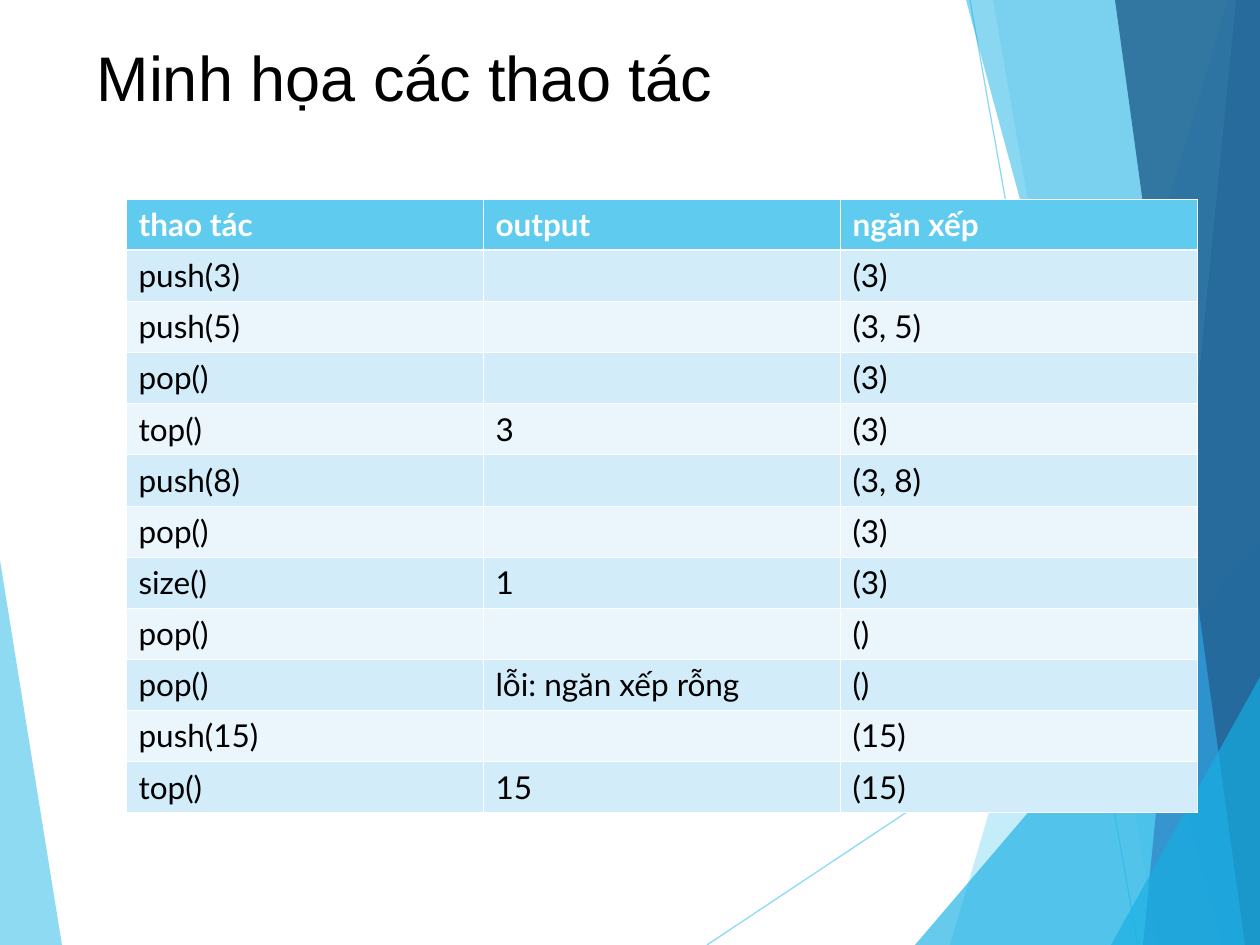
from dataclasses import dataclass

from lxml import etree
from pptx import Presentation, util as u
from pptx.dml.color import RGBColor
from pptx.enum import shapes, text
from pptx.oxml.ns import qn

TITLE = "Minh họa các thao tác"
HEADER = ("thao tác", "output", "ngăn xếp")
STEPS = [
    ("push(3)", "", "(3)"),
    ("push(5)", "", "(3, 5)"),
    ("pop()", "", "(3)"),
    ("top()", "3", "(3)"),
    ("push(8)", "", "(3, 8)"),
    ("pop()", "", "(3)"),
    ("size()", "1", "(3)"),
    ("pop()", "", "()"),
    ("pop()", "lỗi: ngăn xếp rỗng", "()"),
    ("push(15)", "", "(15)"),
    ("top()", "15", "(15)"),
]


@dataclass(frozen=True)
class Theme:
    sky: str = "5FCBEF"
    cyan: str = "17B0E4"
    blue: str = "2E83C3"
    navy: str = "236292"
    odd: str = "D2ECF9"
    even: str = "EAF6FC"
    ink: str = "000000"
    white: str = "FFFFFF"
    title_font: str = "Arial"
    table_font: str = "Lato"
    title_size: int = 36
    table_size: int = 18
    ray_width: float = 0.75
    border: float = 0.45
    header_border: float = 1.47


T = Theme()
W, H = 1260, 945
SCALE = u.Inches(10) / W
TITLE_BOX = (84, 32, 875, 181)
TABLE_BOX = (126, 199, 1071, 614)


def band(top_x, bottom_x):
    return [(top_x, 0), (bottom_x, H), (W, H), (W, 0)]


def wedge(bottom_x, right_y):
    return [(bottom_x, H), (W, right_y), (W, H)]


RAYS = [((707, H), (W, 577)), ((970, 0), (1138, H))]
LEFT_FACET = ([(0, 560), (62, H), (0, H)], T.sky, 70)
RIGHT_FACETS = [
    (band(1228, 950), T.sky, 36),
    (band(993, 1158), T.sky, 20),
    (wedge(915, 541), T.cyan, 66),
    (band(966, 1222), T.cyan, 50),
    (band(1236, 1143), T.blue, 70),
    (band(1115, 1245), T.navy, 82),
    (wedge(1111, 677), T.cyan, 66),
]


def px(n):
    return u.Emu(round(n * SCALE))


def rgb(color):
    return RGBColor.from_string(color)


def set_alpha(fill, percent):
    color = next(fill._xPr.iter(qn("a:srgbClr")))
    etree.SubElement(color, qn("a:alpha")).set("val", str(percent * 1000))


def add_facet(s, points, color, alpha):
    builder = s.shapes.build_freeform(*points[0], scale=SCALE)
    builder.add_line_segments(points[1:], close=True)
    sp = builder.convert_to_shape()
    sp.shadow.inherit = False
    sp.fill.solid()
    sp.fill.fore_color.rgb = rgb(color)
    set_alpha(sp.fill, alpha)
    sp.line.fill.background()


def add_ray(s, start, end):
    ends = [px(n) for n in (*start, *end)]
    ray = s.shapes.add_connector(shapes.MSO_CONNECTOR.STRAIGHT, *ends)
    ray.line.width = u.Pt(T.ray_width)
    ray.line.color.rgb = rgb(T.sky)
    set_alpha(ray.line.fill, 70)
    etree.SubElement(ray._element.spPr, qn("a:effectLst"))


def add_run(p, words, font, size, color, bold=False):
    r = p.add_run()
    r.text = words
    r.font.name, r.font.size, r.font.bold = font, u.Pt(size), bold
    r.font.color.rgb = rgb(color)


def set_title(s):
    sp = s.shapes.title
    s.shapes._spTree.append(sp._element)
    sp.left, sp.top, sp.width, sp.height = map(px, TITLE_BOX)
    tf = sp.text_frame
    tf.auto_size = text.MSO_AUTO_SIZE.NONE
    tf.vertical_anchor = text.MSO_ANCHOR.TOP
    p = tf.paragraphs[0]
    p.alignment = text.PP_ALIGN.LEFT
    add_run(p, TITLE, T.title_font, T.title_size, T.ink)


def set_borders(cell, row):
    widths = {
        "L": T.border,
        "R": T.border,
        "T": T.header_border if row == 1 else T.border,
        "B": T.header_border if row == 0 else T.border,
    }
    tc_pr = cell._tc.get_or_add_tcPr()
    for side, width in widths.items():
        ln = etree.SubElement(tc_pr, qn(f"a:ln{side}"), w=str(u.Pt(width)))
        fill = etree.SubElement(ln, qn("a:solidFill"))
        etree.SubElement(fill, qn("a:srgbClr"), val=T.white)


def add_steps(s):
    rows = [HEADER, *STEPS]
    frame = s.shapes.add_table(len(rows), len(HEADER), *map(px, TABLE_BOX))
    table = frame.table
    for row in table.rows:
        row.height = px(TABLE_BOX[3] / len(rows))
    for i, values in enumerate(rows):
        head = i == 0
        fill = T.sky if head else T.odd if i % 2 else T.even
        for j, value in enumerate(values):
            cell = table.cell(i, j)
            set_borders(cell, i)
            cell.fill.solid()
            cell.fill.fore_color.rgb = rgb(fill)
            p = cell.text_frame.paragraphs[0]
            p.font.size = u.Pt(T.table_size)
            if value:
                color = T.white if head else T.ink
                add_run(p, value, T.table_font, T.table_size, color, head)


def main():
    prs = Presentation()
    prs.slide_width, prs.slide_height = px(W), px(H)
    s = prs.slides.add_slide(prs.slide_layouts[5])
    add_facet(s, *LEFT_FACET)
    for ray in RAYS:
        add_ray(s, *ray)
    for facet in RIGHT_FACETS:
        add_facet(s, *facet)
    set_title(s)
    add_steps(s)
    prs.save("out.pptx")


if __name__ == "__main__":
    main()
